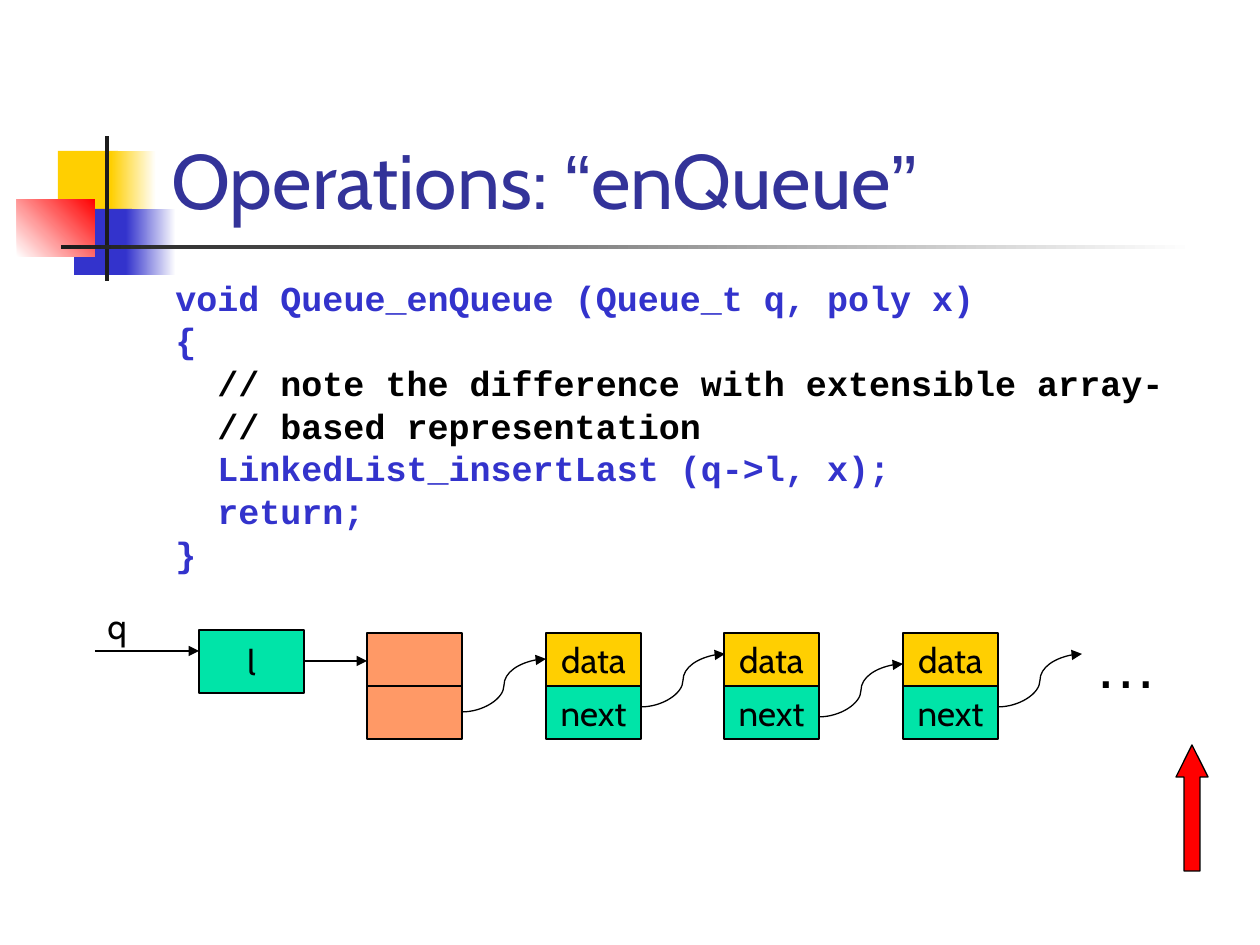
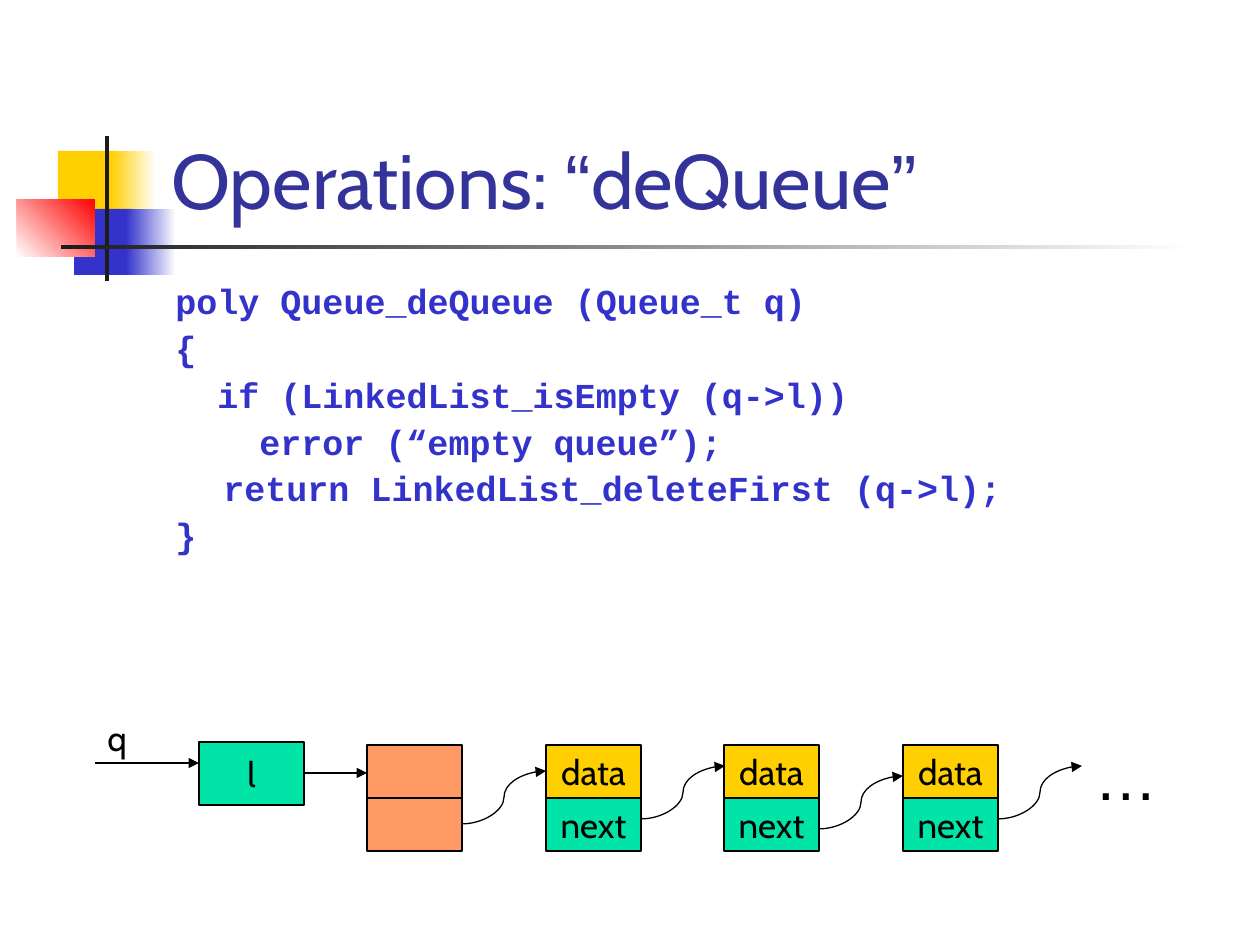
"""Build two slides on the queue operations enQueue and deQueue."""
from lxml.etree import SubElement
from pptx import Presentation
from pptx.dml.color import RGBColor
from pptx.enum.shapes import MSO_CONNECTOR, MSO_SHAPE
from pptx.enum.text import MSO_ANCHOR, PP_ALIGN
from pptx.oxml.ns import qn
from pptx.util import Emu, Pt

BLACK = RGBColor(0x00, 0x00, 0x00)
WHITE = RGBColor(0xFF, 0xFF, 0xFF)
INK = RGBColor(0x1C, 0x1C, 0x1C)
YELLOW = RGBColor(0xFF, 0xCF, 0x01)
BLUE = RGBColor(0x33, 0x33, 0xCC)
NAVY = RGBColor(0x33, 0x33, 0x99)
RED = RGBColor(0xFF, 0x00, 0x00)
GREEN = RGBColor(0x00, 0xE4, 0xA8)
ORANGE = RGBColor(0xFF, 0x99, 0x66)
LABEL_FONT, QUOTE_FONT, CODE_FONT = "Cabin", "Arial", "Courier New"

SLIDES = [
    {
        "operation": "enQueue",
        "spacing": 0.8,
        "code": [
            (0, "void Queue_enQueue (Queue_t q, poly x)", BLUE),
            (0, "{", BLUE),
            (42, "// note the difference with extensible array-", BLACK),
            (42, "// based representation", BLACK),
            (42, "LinkedList_insertLast (q->l, x);", BLUE),
            (42, "return;", BLUE),
            (0, "}", BLUE),
        ],
        "list_top": 633,
        "pointer": (1176, 745, 32, 126),
    },
    {
        "operation": "deQueue",
        "spacing": 0.9,
        "code": [
            (0, "poly Queue_deQueue (Queue_t q)", BLUE),
            (0, "{", BLUE),
            (42, "if (LinkedList_isEmpty (q->l))", BLUE),
            (84, "error (“empty queue”);", BLUE),
            (48, "return LinkedList_deleteFirst (q->l);", BLUE),
            (0, "}", BLUE),
        ],
        "list_top": 745,
        "pointer": None,
    },
]
BAND = [
    ((58, 151, 60, 66), (YELLOW,), 0),
    ((111, 151, 45, 66), (YELLOW, WHITE), 0),
    ((74, 209, 58, 66), (BLUE,), 0),
    ((126, 209, 50, 66), (BLUE, WHITE), 0),
    ((17, 199, 78, 58), (WHITE, RED), 45),
    ((105, 136, 4, 145), (INK,), 0),
    ((61, 245, 1134, 4), (INK, WHITE), 0),
]
HEAD = [("", ORANGE), ("", ORANGE)]
NODE = [("data", YELLOW), ("next", GREEN)]
NODES = [(367, HEAD, 79), (546, NODE, 74), (724, NODE, 84), (903, NODE, 74)]
CELL_W, CELL_H, LINK_W, LINK_RISE = 95, 53, 84, 53


def px(*values):
    return [Emu(round(v * 914400 / 126)) for v in values]


def write(p, text, size=20, font=LABEL_FONT, color=BLACK, bold=False):
    r = p.add_run()
    r.text = text
    r.font.size, r.font.name, r.font.bold = Pt(size), font, bold
    r.font.color.rgb = color


def add_text(shapes, box, anchor=MSO_ANCHOR.TOP):
    tf = shapes.add_textbox(*px(*box)).text_frame
    tf.word_wrap, tf.vertical_anchor = True, anchor
    return tf


def add_box(shapes, box, colors, angle=0, outline=True, text="", kind=MSO_SHAPE.RECTANGLE):
    sp = shapes.add_shape(kind, *px(*box))
    sp.shadow.inherit = False
    if len(colors) == 1:
        sp.fill.solid()
        sp.fill.fore_color.rgb = colors[0]
    else:
        sp.fill.gradient()
        sp.fill.gradient_angle = angle
        for stop, color in zip(sp.fill.gradient_stops, colors):
            stop.color.rgb = color
    if outline:
        sp.line.color.rgb, sp.line.width = BLACK, Pt(0.75)
    else:
        sp.line.fill.background()
    if text:
        tf = sp.text_frame
        tf.word_wrap, tf.vertical_anchor = False, MSO_ANCHOR.MIDDLE
        tf.paragraphs[0].alignment = PP_ALIGN.CENTER
        write(tf.paragraphs[0], text)
    return sp


def add_arrow(shapes, ends, kind=MSO_CONNECTOR.STRAIGHT):
    line = shapes.add_connector(kind, *px(*ends))
    line.line.color.rgb, line.line.width = BLACK, Pt(0.75)
    SubElement(line.line._get_or_add_ln(), qn("a:tailEnd"), type="triangle")
    SubElement(line._element.spPr, qn("a:effectLst"))


def add_frame(s, operation):
    for box, colors, angle in BAND:
        add_box(s.shapes, box, colors, angle, outline=False)
    p = add_text(s.shapes, (159, 29, 1073, 202), MSO_ANCHOR.BOTTOM).paragraphs[0]
    for text, font in [("Operations: ", LABEL_FONT), ("“", QUOTE_FONT),
                       (operation, LABEL_FONT), ("”", QUOTE_FONT)]:
        write(p, text, size=44, font=font, color=NAVY)


def add_code(s, lines, spacing):
    tf = add_text(s.shapes, (163, 278, 1071, 567))
    for i, (indent, text, color) in enumerate(lines):
        p = tf.paragraphs[0] if i == 0 else tf.add_paragraph()
        p.line_spacing, p.space_before = spacing, Pt(5.2)
        p._p.get_or_add_pPr().set("marL", str(px(indent)[0]))
        write(p, text, font=CODE_FONT, color=color, bold=True)


def add_linked_list(s, top):
    shapes = s.shapes.add_group_shape().shapes
    add_box(shapes, (199, top - 3, 105, 63), (GREEN,), text="l")
    write(add_text(shapes, (95, top - 35, 95, 54)).paragraphs[0], "q")
    add_arrow(shapes, (95, top + 18, 199, top + 18))
    add_arrow(shapes, (304, top + 28, 367, top + 28))
    for left, cells, link_y in NODES:
        for i, (text, color) in enumerate(cells):
            add_box(shapes, (left, top + i * CELL_H, CELL_W, CELL_H), (color,), text=text)
        right, start = left + CELL_W, top + link_y
        add_arrow(shapes, (right, start, right + LINK_W, start - LINK_RISE), MSO_CONNECTOR.CURVE)
    write(add_text(shapes, (1082, top - 14, 95, 88)).paragraphs[0], "…", size=36, font=QUOTE_FONT)


prs = Presentation()
prs.slide_width, prs.slide_height = px(1260, 945)
for content in SLIDES:
    s = prs.slides.add_slide(prs.slide_layouts[6])
    add_frame(s, content["operation"])
    add_code(s, content["code"], content["spacing"])
    add_linked_list(s, content["list_top"])
    if content["pointer"]:
        arrow = add_box(s.shapes, content["pointer"], (RED,), kind=MSO_SHAPE.UP_ARROW)
        arrow.adjustments[0], arrow.adjustments[1] = 0.5, 1
prs.save("out.pptx")
